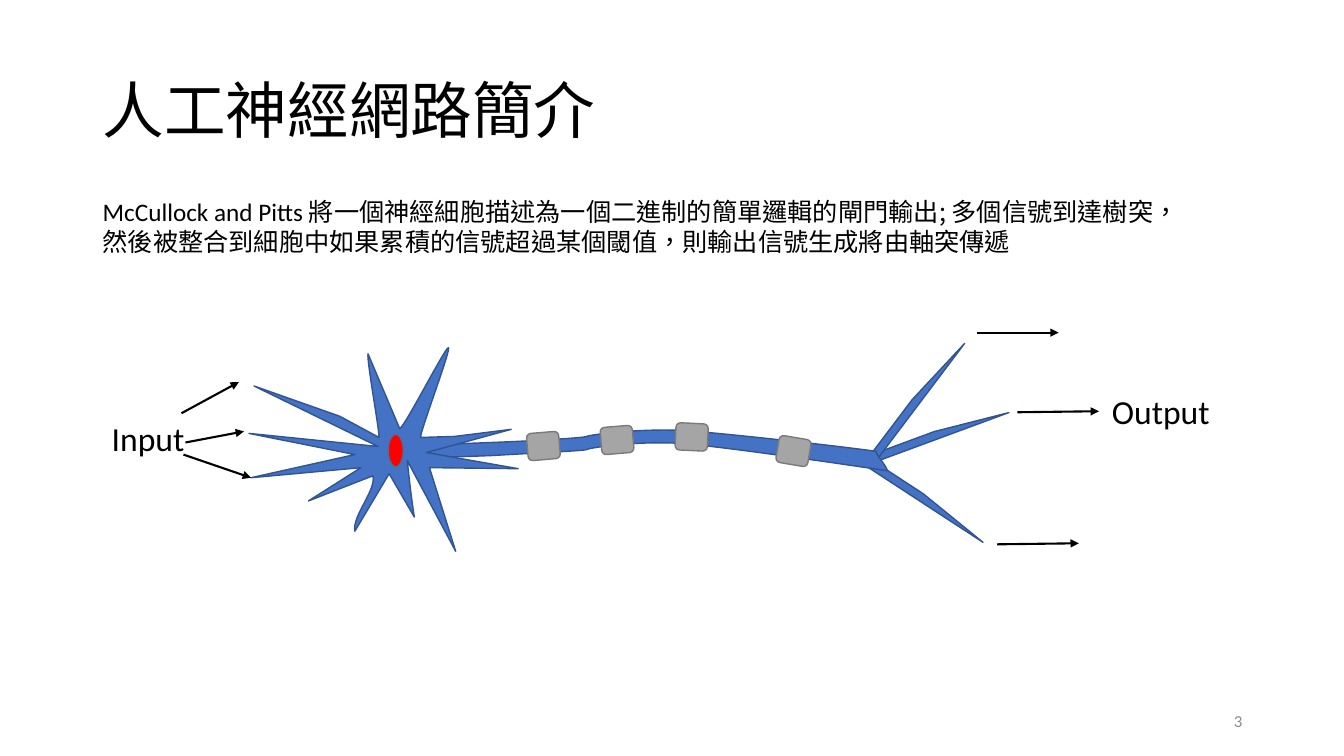
from lxml import etree
from pptx import Presentation
from pptx.dml.color import RGBColor
from pptx.enum.shapes import MSO_CONNECTOR, MSO_SHAPE
from pptx.enum.text import MSO_ANCHOR, PP_ALIGN
from pptx.oxml.ns import qn
from pptx.util import Inches, Pt

STRAIGHT = MSO_CONNECTOR.STRAIGHT
STRIPE, OVAL, ROUNDED = MSO_SHAPE.DIAGONAL_STRIPE, MSO_SHAPE.OVAL, MSO_SHAPE.ROUNDED_RECTANGLE
TOP, MIDDLE = MSO_ANCHOR.TOP, MSO_ANCHOR.MIDDLE
LEFT, RIGHT = PP_ALIGN.LEFT, PP_ALIGN.RIGHT

COLORS = {
    "text": "000000", "page_number": "8C8C8C",
    "cell": "4472C4", "cell_line": "325491",
    "nucleus": "FF0000", "nucleus_line": "43739E",
    "myelin": "A5A5A5", "myelin_line": "7A7A7A",
}
LATIN, CHINESE = "Calibri", "Noto Sans CJK SC"

# A pair is a corner; six numbers are two control points and the end of a curve.
AXON = [
    (3.93, 4.42), (3.93, 4.43, 4.36, 4.41, 4.88, 4.39),
    (5.4, 4.37, 5.82, 4.34, 5.82, 4.33), (5.82, 4.32, 6.28, 4.25, 6.76, 4.27),
    (7.24, 4.3, 8.69, 4.47, 8.69, 4.48), (8.7, 4.53, 8.8, 4.63, 8.8, 4.67),
    (8.8, 4.67, 7.26, 4.44, 6.77, 4.4), (6.27, 4.37, 5.82, 4.45, 5.82, 4.46),
    (5.82, 4.47, 5.4, 4.49, 4.88, 4.52), (4.36, 4.54, 3.94, 4.55, 3.94, 4.54),
]
CELL_BODY = [
    (3.65, 3.51), (3.96, 4.24), (3.95, 4.37, 4.47, 3.33, 4.45, 3.46),
    (4.44, 3.56, 4.18, 4.25, 4.17, 4.34), (4.51, 4.33), (5.07, 4.26),
    (4.23, 4.49), (5.14, 4.65), (4.26, 4.64), (4.52, 5.47), (4.04, 4.57),
    (4.06, 4.76, 4.08, 4.94, 4.11, 5.13), (3.86, 4.7), (3.52, 5.27),
    (3.49, 5.12, 3.73, 4.87, 3.7, 4.72), (3.06, 4.97), (3.58, 4.64),
    (2.49, 4.74), (3.52, 4.51), (2.47, 4.3), (3.75, 4.43), (2.52, 3.83),
    (3.37, 4.13), (3.76, 4.34), (3.76, 4.24, 3.64, 3.6, 3.65, 3.51),
]
TERMINALS = [(8.52, 4.28, 345.7), (8.34, 3.94, 313), (8.34, 4.88, 39.1)]
MYELIN = [(5.23, 4.29, 355.3), (5.96, 4.23, 355.3), (6.7, 4.2, 2.7), (7.71, 4.34, 9.6)]
INPUT_ARROWS = [(1.8, 4.1, 2.37, 3.79), (1.84, 4.39, 2.42, 4.28), (1.82, 4.51, 2.49, 4.74)]
OUTPUT_ARROWS = [(9.69, 3.3, 10.5, 3.3), (10.09, 4.09, 10.9, 4.08), (9.89, 5.4, 10.7, 5.39)]


class SlideBuilder:
    def __init__(self, slide):
        self.shapes = slide.shapes

    def color(self, name):
        return RGBColor.from_string(COLORS[name])

    def paint(self, shape, name):
        shape.shadow.inherit = False
        shape.fill.solid()
        shape.fill.fore_color.rgb = self.color(name)
        shape.line.color.rgb = self.color(name + "_line")
        shape.line.width = Pt(1)

    def preset(self, kind, area, name, rotation=0):
        shape = self.shapes.add_shape(kind, *map(Inches, area))
        shape.rotation = rotation
        self.paint(shape, name)

    def outline(self, steps, name):
        """Draw a closed outline, turning the six-number steps into curves."""
        ends = [(Inches(step[-2]), Inches(step[-1])) for step in steps]
        builder = self.shapes.build_freeform(*ends[0], scale=1.0)
        builder.add_line_segments(ends[1:], close=True)
        shape = builder.convert_to_shape()
        segments = list(shape._element.iter(qn("a:lnTo")))
        for segment, step in zip(segments, steps[1:]):
            if len(step) == 6:
                self.bend(shape, segment, step)
        self.paint(shape, name)

    def bend(self, shape, segment, step):
        """Replace a straight segment by a cubic curve."""
        curve = etree.Element(qn("a:cubicBezTo"))
        for x, y in zip(step[::2], step[1::2]):
            etree.SubElement(curve, qn("a:pt"), x=str(Inches(x) - shape.left),
                             y=str(Inches(y) - shape.top))
        segment.getparent().replace(segment, curve)

    def arrow(self, ends):
        line = self.shapes.add_connector(STRAIGHT, *map(Inches, ends))
        line.line.color.rgb = self.color("text")
        line.line.width = Pt(1.5)
        etree.SubElement(line.line._get_or_add_ln(), qn("a:tailEnd"), type="triangle")
        etree.SubElement(line._element.spPr, qn("a:effectLst"))

    def text(self, area, spans, size, color="text", anchor=TOP, **para_format):
        """Add one paragraph made of (words, font name) spans."""
        box = self.shapes.add_textbox(*map(Inches, area))
        frame = box.text_frame
        frame.word_wrap = True
        frame.vertical_anchor = anchor
        para = frame.paragraphs[0]
        for key, value in para_format.items():
            setattr(para, key, value)
        for words, font_name in spans:
            span = para.add_run()
            span.text = words
            for key, value in {"name": font_name, "size": Pt(size)}.items():
                setattr(span.font, key, value)
            span.font.color.rgb = self.color(color)
            properties = span._r.get_or_add_rPr()
            properties.set("lang", "zh-TW" if font_name == CHINESE else "en-US")
            etree.SubElement(properties, qn("a:ea"), typeface=CHINESE)


def main():
    deck = Presentation()
    deck.slide_width, deck.slide_height = Inches(13.33), Inches(7.5)
    page = SlideBuilder(deck.slides.add_slide(deck.slide_layouts[6]))

    for left, top, rotation in TERMINALS:
        page.preset(STRIPE, (left, top, 1.53, 0.16), "cell", rotation)
    page.outline(AXON, "cell")
    page.text((0.92, 0.4, 11.5, 1.45), [("人工神經網路簡介", CHINESE)], 44,
              anchor=MIDDLE, alignment=LEFT, line_spacing=0.9)
    page.text((9.42, 6.95, 3, 0.4), [("3", LATIN)], 12, "page_number",
              anchor=MIDDLE, alignment=RIGHT)
    page.outline(CELL_BODY, "cell")
    page.preset(OVAL, (3.85, 4.31, 0.15, 0.32), "nucleus")
    for left, top, rotation in MYELIN:
        page.preset(ROUNDED, (left, top, 0.32, 0.27), "myelin", rotation)

    page.text((1.01, 4.1, 1.58, 0.5), [("Input", LATIN)], 24)
    for ends in INPUT_ARROWS:
        page.arrow(ends)
    page.text((10.93, 3.83, 1.58, 0.5), [("Output", LATIN)], 24)
    for ends in OUTPUT_ARROWS:
        page.arrow(ends)
    page.text((0.92, 1.9, 10.92, 0.71), [
        ("McCullock and Pitts ", LATIN),
        ("將一個神經細胞描述為一個二進制的簡單邏輯的閘門輸出; 多個信號到達樹突，"
         "然後被整合到細胞中如果累積的信號超過某個閾值，則輸出信號生成將由軸突傳遞", CHINESE),
    ], 18)
    deck.save("out.pptx")


if __name__ == "__main__":
    main()
